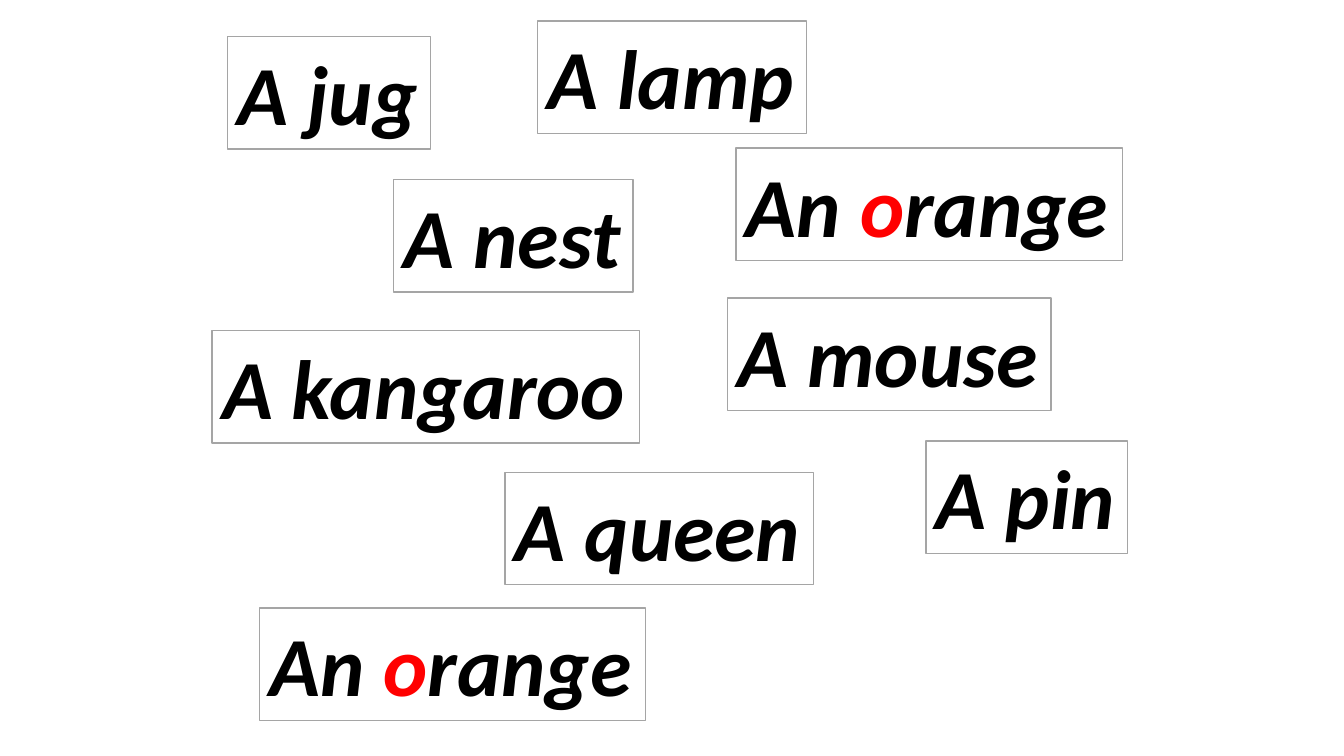
import dataclasses

import pptx
import pptx.dml.color
import pptx.enum.shapes
import pptx.enum.text
import pptx.slide
import pptx.util

EMU_PER_PX = 9525
CARD_HEIGHT = 107
BLACK, RED, WHITE, GREY = "000000", "FF0000", "FFFFFF", "A5A5A5"
WORD_FORMAT = {"name": "Calibri", "size": pptx.util.Pt(60), "bold": True, "italic": True}
FRAME_FORMAT = {
    "word_wrap": False,
    "auto_size": pptx.enum.text.MSO_AUTO_SIZE.SHAPE_TO_FIT_TEXT,
    "vertical_anchor": pptx.enum.text.MSO_ANCHOR.TOP,
}


@dataclasses.dataclass(frozen=True)
class WordCard:
    left: int
    top: int
    width: int
    pieces: tuple[tuple[str, str], ...]


def plain(text: str) -> tuple[tuple[str, str], ...]:
    return ((text, BLACK),)


ORANGE = (("An ", BLACK), ("o", RED), ("range", BLACK))
CARDS = (
    WordCard(481, 450, 294, plain("A queen")),
    WordCard(701, 141, 368, ORANGE),
    WordCard(882, 420, 192, plain("A pin")),
    WordCard(247, 579, 368, ORANGE),
    WordCard(375, 171, 228, plain("A nest")),
    WordCard(693, 284, 308, plain("A mouse")),
    WordCard(512, 20, 256, plain("A lamp")),
    WordCard(202, 315, 407, plain("A kangaroo")),
    WordCard(217, 35, 193, plain("A jug")),
)


def px(length: int) -> pptx.util.Emu:
    return pptx.util.Emu(length * EMU_PER_PX)


def colour(value: str) -> pptx.dml.color.RGBColor:
    return pptx.dml.color.RGBColor.from_string(value)


def apply_format(target: object, values: dict[str, object]) -> None:
    for name, value in values.items():
        setattr(target, name, value)


def draw_card(page: pptx.slide.Slide, card: WordCard) -> None:
    """Draw a bordered card holding one word with its article."""
    box = page.shapes.add_shape(
        pptx.enum.shapes.MSO_SHAPE.RECTANGLE,
        px(card.left), px(card.top), px(card.width), px(CARD_HEIGHT),
    )
    box.shadow.inherit = False
    box.fill.solid()
    box.fill.fore_color.rgb = colour(WHITE)
    box.line.color.rgb = colour(GREY)
    box.line.width = pptx.util.Pt(1)
    apply_format(box.text_frame, FRAME_FORMAT)
    para = box.text_frame.paragraphs[0]
    para.alignment = pptx.enum.text.PP_ALIGN.LEFT
    for text, shade in card.pieces:
        span = para.add_run()
        span.text = text
        apply_format(span.font, WORD_FORMAT)
        span.font.color.rgb = colour(shade)


def main() -> None:
    deck = pptx.Presentation()
    deck.slide_width, deck.slide_height = px(1280), px(720)
    page = deck.slides.add_slide(deck.slide_layouts[6])
    for card in CARDS:
        draw_card(page, card)
    deck.save("out.pptx")


if __name__ == "__main__":
    main()
